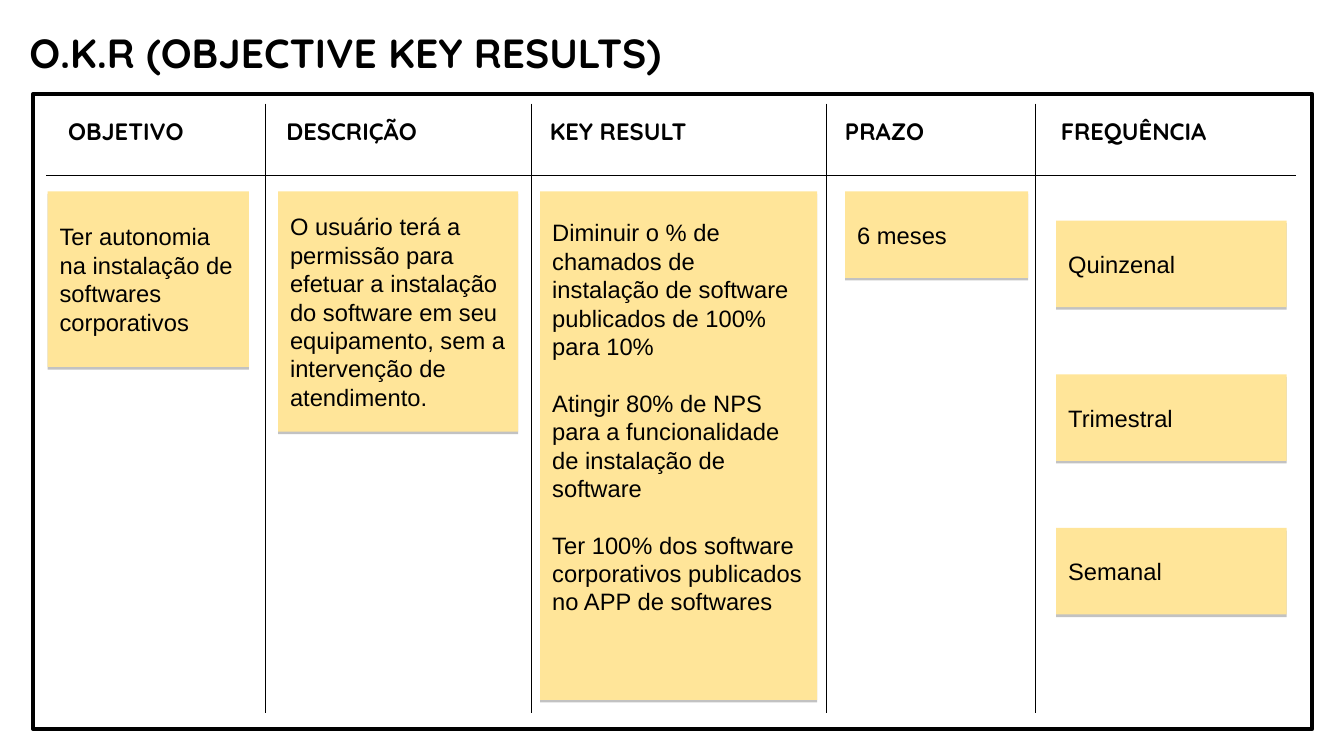
from dataclasses import dataclass

from lxml import etree
from pptx import Presentation
from pptx.dml.color import RGBColor
from pptx.enum import shapes, text
from pptx.oxml import ns
from pptx.util import Inches, Pt


@dataclass(frozen=True)
class Theme:
    """Colours, fonts and type sizes of the board."""
    ink: str = "000000"
    note: str = "FFE599"
    head_font: str = "Quicksand"
    body_font: str = "Arial"
    title_size: float = 24
    text_size: float = 14
    frame_width: float = 2.25
    rule_width: float = 0.75


def write(tf, paragraphs, *, font, size, color, bold=False, inset=(0.1, 0.1, 0.1, 0.1),
          anchor=text.MSO_ANCHOR.TOP, line_spacing=None, gap=0):
    """Fill a text frame with paragraphs, gap points apart."""
    tf.word_wrap = True
    tf.auto_size = text.MSO_AUTO_SIZE.NONE
    tf.vertical_anchor = anchor
    tf.margin_left, tf.margin_top, tf.margin_right, tf.margin_bottom = map(Inches, inset)
    for i, content in enumerate(paragraphs):
        p = tf.add_paragraph() if i else tf.paragraphs[0]
        p.alignment = text.PP_ALIGN.LEFT
        p.space_before = Pt(gap if i else 0)
        if line_spacing:
            p.line_spacing = line_spacing
        r = p.add_run()
        r.text = content
        r.font.name, r.font.size, r.font.bold = font, Pt(size), bold
        r.font.color.rgb = RGBColor.from_string(color)


class Board:
    """Draws the elements of an OKR board on one slide."""

    def __init__(self, s, theme):
        """Keep the slide and its theme."""
        self.s, self.theme = s, theme

    def title(self, content, x, y, w, h):
        """Place and format the title placeholder."""
        t, sp = self.theme, self.s.shapes.title
        sp.left, sp.top, sp.width, sp.height = map(Inches, (x, y, w, h))
        write(sp.text_frame, [content], font=t.head_font, size=t.title_size, color=t.ink,
              bold=True, inset=(0.04,) * 4, anchor=text.MSO_ANCHOR.MIDDLE)

    def rect(self, x, y, w, h):
        """Add a rectangle without shadow."""
        sp = self.s.shapes.add_shape(shapes.MSO_SHAPE.RECTANGLE, *map(Inches, (x, y, w, h)))
        sp.shadow.inherit = False
        return sp

    def stroke(self, line, width):
        """Set an ink line of the given width."""
        line.color.rgb = RGBColor.from_string(self.theme.ink)
        line.width = Pt(width)

    def frame(self, x, y, w, h):
        """Add the outer border."""
        sp = self.rect(x, y, w, h)
        sp.fill.background()
        self.stroke(sp.line, self.theme.frame_width)

    def rule(self, x1, y1, x2, y2):
        """Add a thin dividing line."""
        c = self.s.shapes.add_connector(shapes.MSO_CONNECTOR.STRAIGHT,
                                        *map(Inches, (x1, y1, x2, y2)))
        self.stroke(c.line, self.theme.rule_width)
        etree.SubElement(c._element.spPr, ns.qn("a:effectLst"))

    def heading(self, content, x, y, w, h):
        """Add a column heading."""
        t, sp = self.theme, self.s.shapes.add_textbox(*map(Inches, (x, y, w, h)))
        write(sp.text_frame, [content], font=t.head_font, size=t.text_size, color=t.ink,
              bold=True, line_spacing=0.8)

    def note(self, paragraphs, x, y, w, h, bottom=0.1):
        """Add a sticky note with a soft lower edge."""
        t, sp = self.theme, self.rect(x, y, w, h)
        sp.fill.solid()
        sp.fill.fore_color.rgb = RGBColor.from_string(t.note)
        sp.line.fill.background()
        effects = sp._element.spPr.find(ns.qn("a:effectLst"))
        shadow = etree.SubElement(effects, ns.qn("a:outerShdw"), dist=str(Pt(1.5)),
                                  dir="5400000", algn="t", rotWithShape="0")
        color = etree.SubElement(shadow, ns.qn("a:srgbClr"), val=t.ink)
        etree.SubElement(color, ns.qn("a:alpha"), val="24000")
        write(sp.text_frame, paragraphs, font=t.body_font, size=t.text_size, color=t.ink,
              inset=(0.1, 0.1, 0.1, bottom), anchor=text.MSO_ANCHOR.MIDDLE, gap=16.5)


def main():
    """Build and save the slide."""
    prs = Presentation()
    prs.slide_width, prs.slide_height = Inches(11.02), Inches(6.2)
    board = Board(prs.slides.add_slide(prs.slide_layouts[5]), Theme())
    board.title("O.K.R (OBJECTIVE KEY RESULTS)", 0.2, 0.18, 9.23, 0.5)
    board.frame(0.27, 0.77, 10.49, 5.21)

    for content, x, w in [("OBJETIVO", 0.46, 1.9), ("DESCRIÇÃO", 2.25, 2.07),
                          ("KEY RESULT", 4.41, 2.65), ("PRAZO", 6.83, 1.59),
                          ("FREQUÊNCIA", 8.6, 2.07)]:
        board.heading(content, x, 0.9, w, 0.7)
    for x in (2.18, 4.36, 6.78, 8.49):
        board.rule(x, 0.85, x, 5.85)
    board.rule(0.38, 1.44, 10.63, 1.44)

    top, short = 1.57, 0.71
    board.note(["Ter autonomia na instalação de softwares corporativos"], 0.39, top, 1.65, 1.44)
    board.note(["O usuário terá a permissão para efetuar a instalação do software em seu "
                "equipamento, sem a intervenção de atendimento."], 2.28, top, 1.97, 1.97)
    board.note(["Diminuir o % de chamados de instalação de software publicados de 100% para 10%",
                "Atingir 80% de NPS para a funcionalidade de instalação de software",
                "Ter 100% dos software corporativos publicados no APP de softwares"],
               4.43, top, 2.27, 4.17, bottom=0.57)
    board.note(["6 meses"], 6.93, top, 1.5, short)
    for i, frequency in enumerate(("Quinzenal", "Trimestral", "Semanal")):
        board.note([frequency], 8.66, 1.81 + 1.26 * i, 1.89, short)

    prs.save("out.pptx")


if __name__ == "__main__":
    main()
